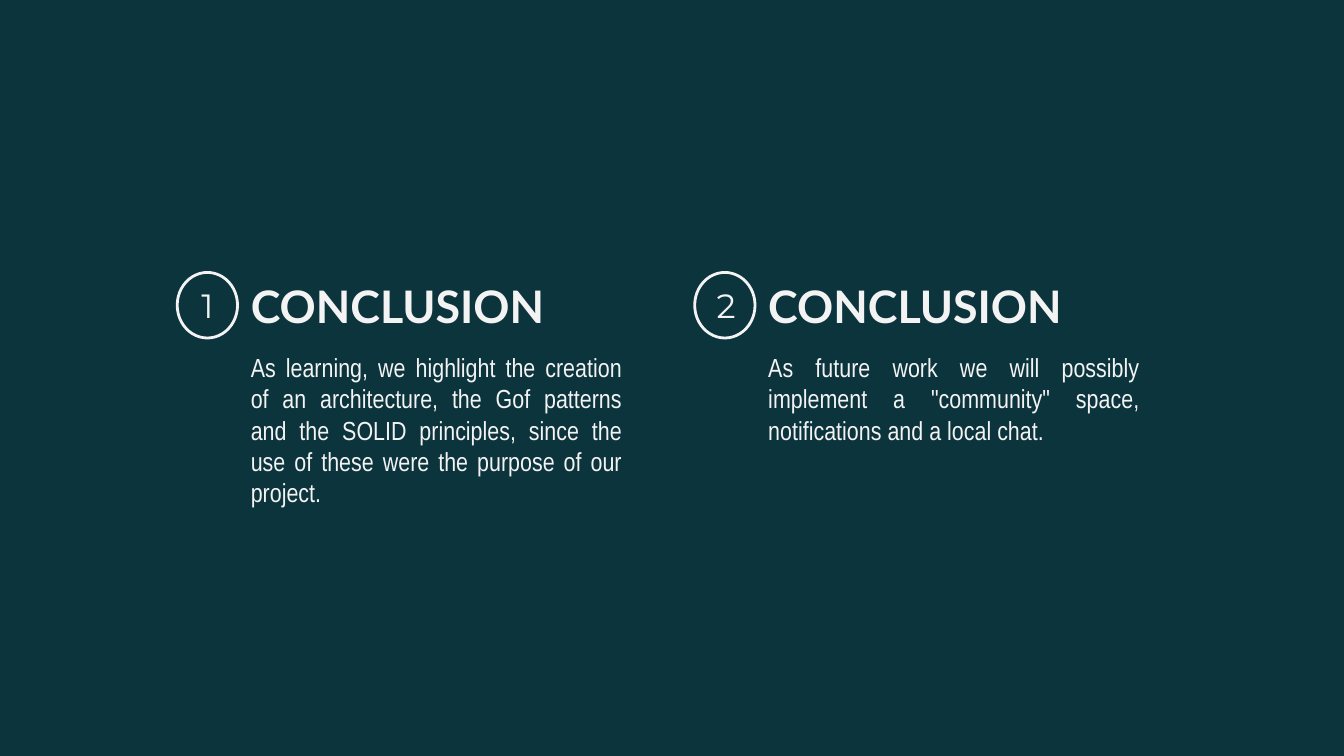
from pptx import Presentation
from pptx.dml.color import RGBColor
from pptx.enum import shapes, text
from pptx.util import Cm, Pt

BACKGROUND, LIGHT = "0C343D", "F3F3F3"
CONCLUSIONS = [
    ("1", "CONCLUSION",
     "As learning, we highlight the creation of an architecture, the Gof patterns "
     "and the SOLID principles, since the use of these were the purpose of our project."),
    ("2", "CONCLUSION",
     'As future work we will possibly implement a "community" space, '
     "notifications and a local chat."),
]
LEFT, TOP, STEP = 3.35, 5.15, 9.78
CIRCLE_W, HEAD_H = 1.14, 1.24
TEXT_W, BODY_H = 7.52, 2.06


def color(value):
    return RGBColor.from_string(value)


def write(sp, words, font, size, align, anchor, bold=False):
    tf = sp.text_frame
    tf.word_wrap = True
    tf.vertical_anchor = anchor
    tf.margin_left = tf.margin_right = tf.margin_top = tf.margin_bottom = Cm(0.25)
    p = tf.paragraphs[0]
    p.alignment = align
    r = p.add_run()
    r.text = words
    r.font.name = font
    r.font.size = Pt(size)
    r.font.bold = bold
    r.font.color.rgb = color(LIGHT)


def add_circle(s, x, number):
    sp = s.shapes.add_shape(shapes.MSO_SHAPE.OVAL, Cm(x), Cm(TOP), Cm(CIRCLE_W), Cm(HEAD_H))
    sp.shadow.inherit = False
    sp.fill.background()
    sp.line.color.rgb = color(LIGHT)
    sp.line.width = Pt(1.5)
    write(sp, number, "Montserrat", 18, text.PP_ALIGN.CENTER, text.MSO_ANCHOR.MIDDLE)


def add_text(s, x, y, h, *style):
    sp = s.shapes.add_textbox(Cm(x), Cm(y), Cm(TEXT_W), Cm(h))
    write(sp, *style)


def main():
    prs = Presentation()
    prs.slide_width, prs.slide_height = Cm(25.4), Cm(14.29)
    s = prs.slides.add_slide(prs.slide_layouts[6])
    s.background.fill.solid()
    s.background.fill.fore_color.rgb = color(BACKGROUND)
    for i, (number, title, body) in enumerate(CONCLUSIONS):
        x = LEFT + i * STEP
        add_circle(s, x, number)
        add_text(s, x + CIRCLE_W, TOP, HEAD_H, title, "Lato", 24,
                 text.PP_ALIGN.LEFT, text.MSO_ANCHOR.MIDDLE, True)
        add_text(s, x + CIRCLE_W, TOP + HEAD_H, BODY_H, body, "Arial Narrow", 14,
                 text.PP_ALIGN.JUSTIFY, text.MSO_ANCHOR.TOP)
    prs.save("out.pptx")


if __name__ == "__main__":
    main()
